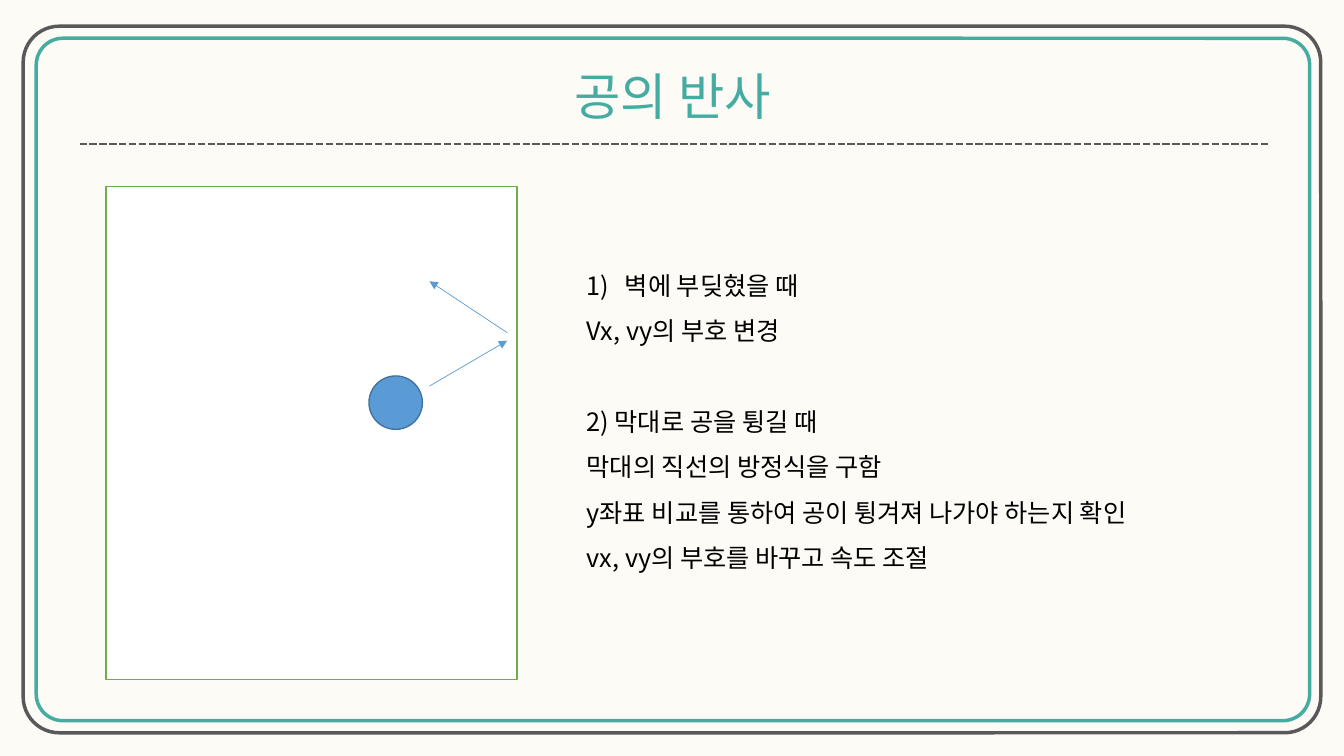
from lxml import etree
from pptx import Presentation
from pptx import util as u
from pptx.dml.color import RGBColor
from pptx.enum import dml, shapes, text
from pptx.oxml.ns import qn

FONT = "Noto Sans CJK KR"
TEAL, GRAY, BLUE = "46ACA1", "595959", "5B9BD5"
BODY_SIZE = 18


def paint(color_format, color):
    color_format.rgb = RGBColor.from_string(color)


def add_outlined(parent, kind, left, top, width, height, line, weight, fill=None):
    shape = parent.add_shape(kind, *map(u.Inches, (left, top, width, height)))
    shape.shadow.inherit = False
    if fill:
        shape.fill.solid()
        paint(shape.fill.fore_color, fill)
    else:
        shape.fill.background()
    paint(shape.line.color, line)
    shape.line.width = u.Pt(weight)
    return shape


def add_frame(parent, left, top, width, height, line, radius):
    frame = add_outlined(parent, shapes.MSO_SHAPE.ROUNDED_RECTANGLE,
                         left, top, width, height, line, 2.5)
    frame.adjustments[0] = radius


def add_line(parent, start, end, color, weight, dash=None, arrow=False):
    line = parent.add_connector(shapes.MSO_CONNECTOR.STRAIGHT,
                                *map(u.Inches, start + end))
    paint(line.line.color, color)
    line.line.width = u.Pt(weight)
    if dash:
        line.line.dash_style = dash
    if arrow:
        etree.SubElement(line.line._get_or_add_ln(), qn("a:tailEnd"), type="triangle")
    etree.SubElement(line._element.spPr, qn("a:effectLst"))


def add_text_box(page, left, top, width, height, wrap):
    box = page.shapes.add_textbox(*map(u.Inches, (left, top, width, height)))
    box.text_frame.word_wrap = wrap
    box.text_frame.auto_size = text.MSO_AUTO_SIZE.SHAPE_TO_FIT_TEXT
    return box.text_frame


def add_span(para, wording, size, color):
    span = para.add_run()
    span.text = wording
    span.font.size = u.Pt(size)
    span.font.name = FONT
    paint(span.font.color, color)
    etree.SubElement(span.font._element, qn("a:ea"), typeface=FONT)


def number_paragraph(para, indent):
    props = para._p.get_or_add_pPr()
    props.set("marL", str(u.Inches(indent)))
    props.set("indent", str(-u.Inches(indent)))
    etree.SubElement(props, qn("a:buFont"), typeface=FONT)
    etree.SubElement(props, qn("a:buAutoNum"), type="arabicParenR")


def add_title(page, wording):
    para = add_text_box(page, 5.47, 0.6, 2.4, 0.71, wrap=False).paragraphs[0]
    para.alignment = text.PP_ALIGN.CENTER
    add_span(para, wording, 36, TEAL)


def add_bounce_diagram(page):
    diagram = page.shapes.add_group_shape().shapes
    add_outlined(diagram, shapes.MSO_SHAPE.RECTANGLE,
                 1.05, 1.85, 4.08, 4.89, "70AD47", 1, "FFFFFF")
    add_outlined(diagram, shapes.MSO_SHAPE.OVAL,
                 3.66, 3.73, 0.53, 0.53, "43739E", 1, BLUE)
    add_line(diagram, (4.26, 3.83), (5.03, 3.38), BLUE, 0.5, arrow=True)
    add_line(diagram, (5.03, 3.3), (4.26, 2.79), BLUE, 0.5, arrow=True)


def add_explanation(page, sections):
    frame = add_text_box(page, 5.72, 2.48, 6.25, 3.22, wrap=True)
    para = frame.paragraphs[0]
    for section_index, section in enumerate(sections):
        for line_index, wording in enumerate(section):
            if section_index or line_index:
                para = frame.add_paragraph()
            para.line_spacing = 1.5
            if section_index and not line_index:
                para.space_before = u.Pt(BODY_SIZE * 1.8)
            add_span(para, wording, BODY_SIZE, "000000")
    number_paragraph(frame.paragraphs[0], 0.38)


def main():
    deck = Presentation()
    deck.slide_width, deck.slide_height = u.Inches(13.33), u.Inches(7.5)
    page = deck.slides.add_slide(deck.slide_layouts[6])
    page.background.fill.solid()
    paint(page.background.fill.fore_color, "FCFBF6")

    # Double border
    add_frame(page.shapes, 0.36, 0.38, 12.63, 6.77, TEAL, 0.039)
    add_frame(page.shapes, 0.23, 0.26, 12.87, 7.01, GRAY, 0.051)

    # Heading and rule
    add_title(page, "공의 반사")
    add_line(page.shapes, (0.79, 1.43), (12.6, 1.43), GRAY, 1.75,
             dash=dml.MSO_LINE.SQUARE_DOT)

    # Ball bouncing off the wall
    add_bounce_diagram(page)

    # Explanation of both cases
    add_explanation(page, [
        ["벽에 부딪혔을 때", "Vx, vy의 부호 변경"],
        ["2) 막대로 공을 튕길 때",
         "막대의 직선의 방정식을 구함",
         "y좌표 비교를 통하여 공이 튕겨져 나가야 하는지 확인",
         "vx, vy의 부호를 바꾸고 속도 조절"],
    ])
    deck.save("out.pptx")


if __name__ == "__main__":
    main()
